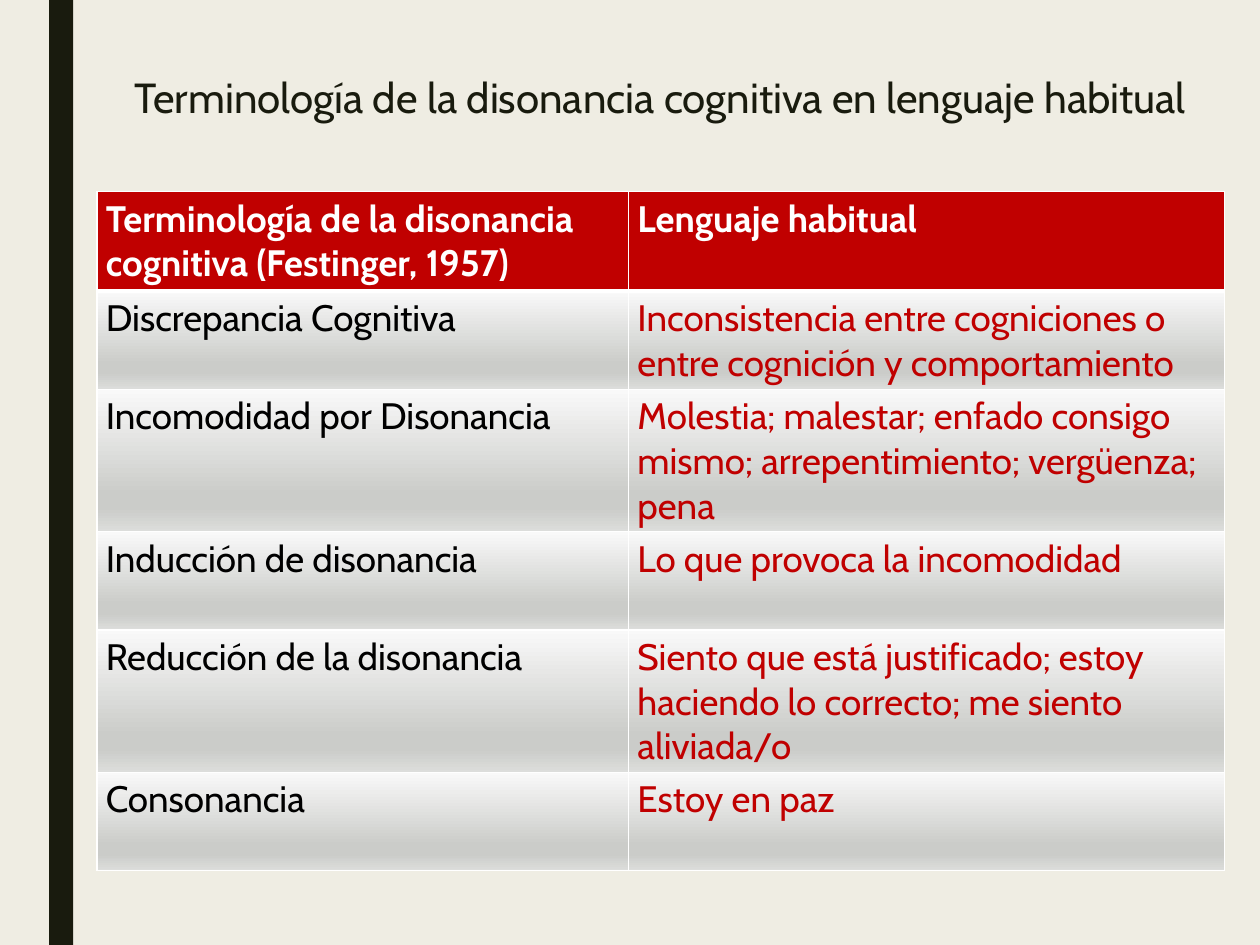
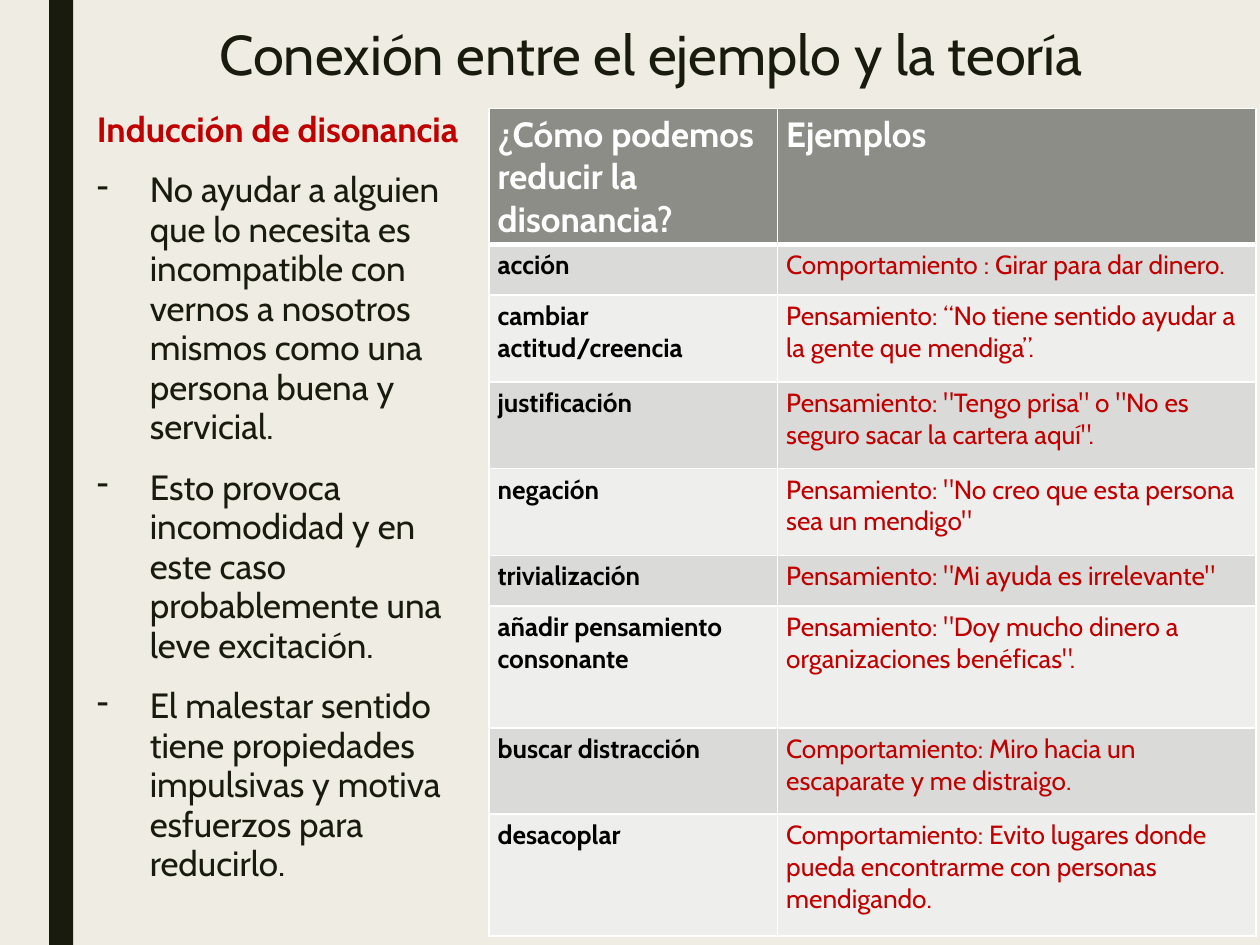
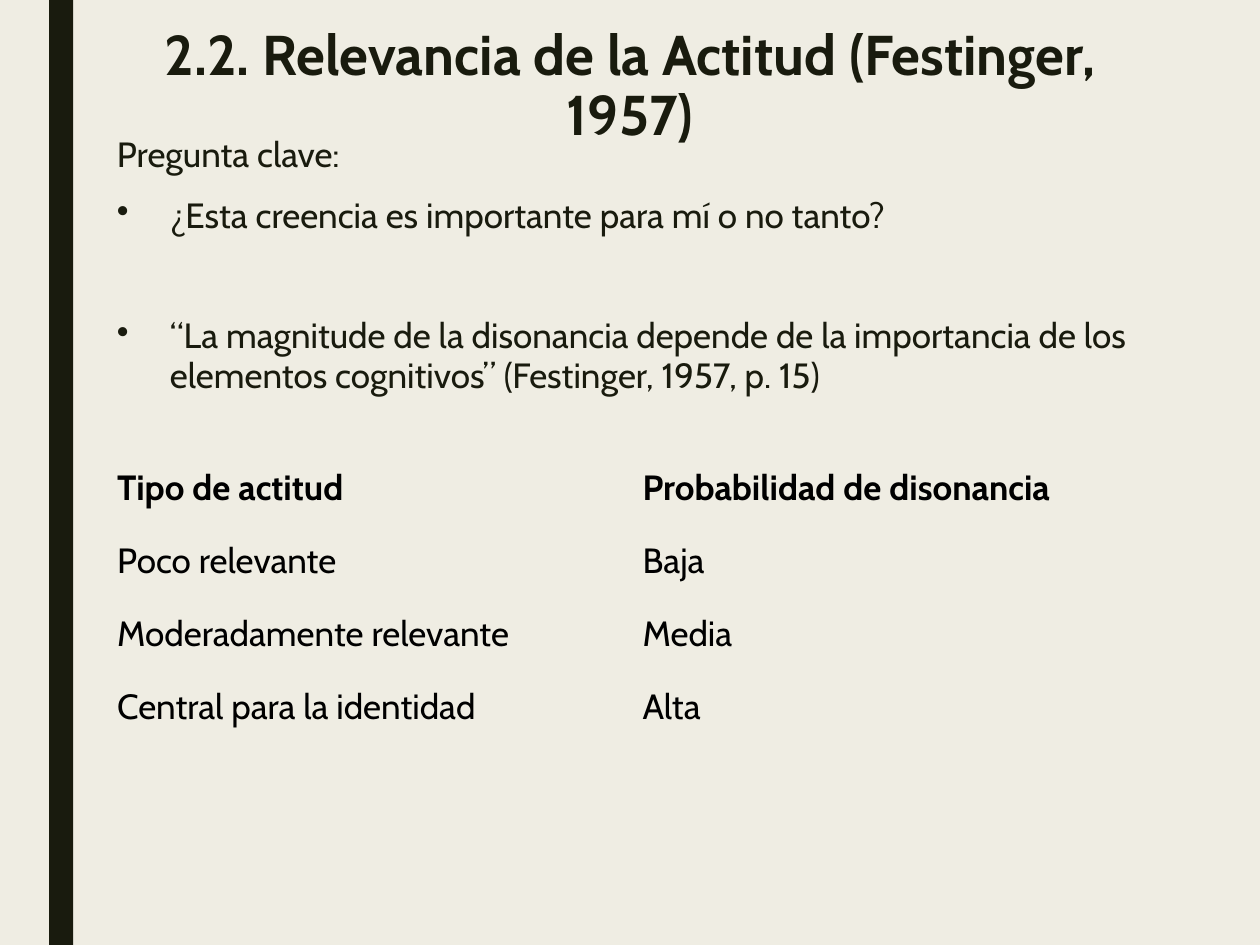
import lxml.etree
import pptx
import pptx.dml.color
import pptx.enum.shapes
import pptx.enum.text
import pptx.oxml.ns
import pptx.util

RGB = pptx.dml.color.RGBColor
Pt = pptx.util.Pt
Inches = pptx.util.Inches
qn = pptx.oxml.ns.qn
ANCHOR = pptx.enum.text.MSO_ANCHOR
ALIGN = pptx.enum.text.PP_ALIGN

CREAM = RGB(0xEF, 0xED, 0xE3)
INK = RGB(0x19, 0x1B, 0x0E)
RED = RGB(0xC0, 0x00, 0x00)
BLACK = RGB(0x00, 0x00, 0x00)
WHITE = RGB(0xFF, 0xFF, 0xFF)
GREY = RGB(0x8C, 0x8D, 0x86)
BANDS = (RGB(0xDA, 0xDB, 0xD9), RGB(0xEE, 0xEE, 0xED))
SILVER = ((0, RGB(0xF9, 0xF9, 0xF9)), (74, RGB(0xCB, 0xCC, 0xC9)),
          (83, RGB(0xCB, 0xCC, 0xC9)), (100, RGB(0xDC, 0xDD, 0xDB)))

FONT = "Cabin"
WIDTH, HEIGHT = 10, 7.5
NO_STYLE = "{2D5ABB26-0587-4C30-8999-92F81FD0307C}"

TERMS_TITLE = "Terminología de la disonancia cognitiva en lenguaje habitual"
TERMS = [
    ("Terminología de la disonancia cognitiva (Festinger, 1957)", "Lenguaje habitual"),
    ("Discrepancia Cognitiva",
     "Inconsistencia entre cogniciones o entre cognición y comportamiento"),
    ("Incomodidad por Disonancia",
     "Molestia; malestar; enfado consigo mismo; arrepentimiento; vergüenza; pena"),
    ("Inducción de disonancia", "Lo que provoca la incomodidad"),
    ("Reducción de la disonancia",
     "Siento que está justificado; estoy haciendo lo correcto; me siento aliviada/o"),
    ("Consonancia", "Estoy en paz"),
]

LINK_TITLE = "Conexión entre el ejemplo y la teoría"
INDUCTION = [
    ("Inducción de disonancia", dict(color=RED, bold=True)),
    ("No ayudar a alguien que lo necesita es incompatible con vernos a nosotros "
     "mismos como una persona buena y servicial.", dict(bullet="-")),
    ("Esto provoca incomodidad y en este caso probablemente una leve excitación.",
     dict(bullet="-")),
    ("El malestar sentido tiene propiedades impulsivas y motiva esfuerzos para "
     "reducirlo.", dict(bullet="-")),
]
REDUCTION = [
    ("¿Cómo podemos reducir la disonancia?", "Ejemplos"),
    ("acción", "Comportamiento : Girar para dar dinero."),
    ("cambiar actitud/creencia",
     "Pensamiento: “No tiene sentido ayudar a la gente que mendiga”."),
    ("justificación",
     'Pensamiento: "Tengo prisa" o "No es seguro sacar la cartera aquí".'),
    ("negación", 'Pensamiento: "No creo que esta persona sea un mendigo"'),
    ("trivialización", 'Pensamiento: "Mi ayuda es irrelevante"'),
    ("añadir pensamiento consonante",
     'Pensamiento: "Doy mucho dinero a organizaciones benéficas".'),
    ("buscar distracción", "Comportamiento: Miro hacia un escaparate y me distraigo."),
    ("desacoplar",
     "Comportamiento: Evito lugares donde pueda encontrarme con personas mendigando."),
]

RELEVANCE_TITLE = "2.2. Relevancia de la Actitud (Festinger, 1957)"
KEY_QUESTION = [
    ("Pregunta clave:", {}),
    ("¿Esta creencia es importante para mí o no tanto?", dict(bullet="•")),
    ("“La magnitude de la disonancia depende de la importancia de los elementos "
     "cognitivos” (Festinger, 1957, p. 15)", dict(bullet="•", before=44.5)),
]
RELEVANCE = [
    ("Tipo de actitud", "Probabilidad de disonancia"),
    ("Poco relevante", "Baja"),
    ("Moderadamente relevante", "Media"),
    ("Central para la identidad", "Alta"),
]


def write(p, text, size=20, color=INK, bold=False, align=None, line=None,
          before=None, after=None, bullet=None):
    p.alignment = align
    p.line_spacing = line
    if before is not None:
        p.space_before = Pt(before)
    if after is not None:
        p.space_after = Pt(after)
    if bullet:
        pPr = p._p.get_or_add_pPr()
        pPr.set("marL", str(Inches(0.42)))
        pPr.set("indent", str(-Inches(0.42)))
        lxml.etree.SubElement(pPr, qn("a:buChar")).set("char", bullet)
    r = p.add_run()
    r.text = text
    r.font.name = FONT
    r.font.size = Pt(size)
    r.font.bold = bold
    r.font.color.rgb = color


def add_text(slide, box, paragraphs, **shared):
    tf = slide.shapes.add_textbox(*map(Inches, box)).text_frame
    tf.word_wrap = True
    for i, (text, own) in enumerate(paragraphs):
        p = tf.paragraphs[0] if i == 0 else tf.add_paragraph()
        write(p, text, **{**shared, **own})


def add_body(slide, box, paragraphs):
    add_text(slide, box, paragraphs, **dict(line=0.94, before=10, after=2))


def add_slide(prs, title, box, **style):
    slide = prs.slides.add_slide(prs.slide_layouts[6])
    slide.background.fill.solid()
    slide.background.fill.fore_color.rgb = CREAM
    sp = slide.shapes.add_shape(pptx.enum.shapes.MSO_SHAPE.RECTANGLE,
                                Inches(0.39), 0, Inches(0.19), Inches(HEIGHT))
    sp.shadow.inherit = False
    sp.fill.solid()
    sp.fill.fore_color.rgb = INK
    sp.line.fill.background()
    add_text(slide, box, [(title, style)], align=ALIGN.CENTER, line=0.89)
    return slide


def add_color(parent, color):
    lxml.etree.SubElement(parent, qn("a:srgbClr")).set("val", str(color))


def set_borders(cell, **widths):
    tcPr = cell._tc.get_or_add_tcPr()
    for side, width in widths.items():
        ln = lxml.etree.SubElement(tcPr, qn("a:ln" + side))
        ln.set("w", str(Pt(width)))
        add_color(lxml.etree.SubElement(ln, qn("a:solidFill")), WHITE)


def set_fill(cell, fill):
    if fill is None:
        cell.fill.background()
    elif isinstance(fill, RGB):
        cell.fill.solid()
        cell.fill.fore_color.rgb = fill
    else:
        grad = lxml.etree.SubElement(cell._tc.get_or_add_tcPr(), qn("a:gradFill"))
        stops = lxml.etree.SubElement(grad, qn("a:gsLst"))
        for share, color in fill:
            gs = lxml.etree.SubElement(stops, qn("a:gs"))
            gs.set("pos", str(share * 1000))
            add_color(gs, color)
        lxml.etree.SubElement(grad, qn("a:lin")).set("ang", str(90 * 60000))


def add_table(slide, left, top, cols, heights, rows, style):
    frame = slide.shapes.add_table(len(rows), len(cols), Inches(left), Inches(top),
                                   Inches(sum(cols)), Inches(sum(heights)))
    table = frame.table
    table.first_row = table.horz_banding = False
    table._tbl.tblPr.find(qn("a:tableStyleId")).text = NO_STYLE
    for col, width in zip(table.columns, cols):
        col.width = Inches(width)
    for i, (texts, height) in enumerate(zip(rows, heights)):
        table.rows[i].height = Inches(height)
        for j, text in enumerate(texts):
            cell = table.cell(i, j)
            fill, formats = style(i)
            if fill is None:
                cell.vertical_anchor = ANCHOR.MIDDLE
            else:
                cell.margin_left = cell.margin_right = Inches(0.07)
                cell.margin_top = cell.margin_bottom = Inches(0.04)
                set_borders(cell, L=1, R=1, T=3 if i == 1 else 1, B=3 if i == 0 else 1)
            set_fill(cell, fill)
            write(cell.text_frame.paragraphs[0], text, **formats[j])


def terms_style(i):
    if i == 0:
        return RED, [dict(size=21, color=WHITE, bold=True)] * 2
    return SILVER, [dict(size=21, color=c) for c in (BLACK, RED)]


def reduction_style(i):
    if i == 0:
        return GREY, [dict(color=WHITE, bold=True)] * 2
    return BANDS[(i - 1) % 2], [dict(size=15, color=BLACK, bold=True),
                                dict(size=15, color=RED)]


def relevance_style(i):
    return None, [dict(color=BLACK, bold=i == 0)] * 2


def main():
    prs = pptx.Presentation()
    prs.slide_width, prs.slide_height = Inches(WIDTH), Inches(HEIGHT)

    slide = add_slide(prs, TERMS_TITLE, (0.46, 0.57, 9.56, 0.82), size=24)
    add_table(slide, 0.77, 1.52, (4.22, 4.73), (0.79, 0.78, 1.12, 0.78, 1.12, 0.78),
              TERMS, terms_style)

    slide = add_slide(prs, LINK_TITLE, (0.75, 0.17, 8.84, 1.09), size=32)
    add_body(slide, (0.67, 0.83, 3.21, 5.81), INDUCTION)
    add_table(slide, 3.88, 0.86, (2.29, 3.8),
              (1.08, 0.4, 0.69, 0.69, 0.69, 0.4, 0.97, 0.68, 0.97),
              REDUCTION, reduction_style)

    slide = add_slide(prs, RELEVANCE_TITLE, (0.69, 0.17, 8.62, 0.86), size=32, bold=True)
    add_body(slide, (0.83, 1.03, 8.48, 5.39), KEY_QUESTION)
    add_table(slide, 0.83, 3.58, (4.17, 4.17), [0.58] * len(RELEVANCE),
              RELEVANCE, relevance_style)

    prs.save("out.pptx")


if __name__ == "__main__":
    main()
